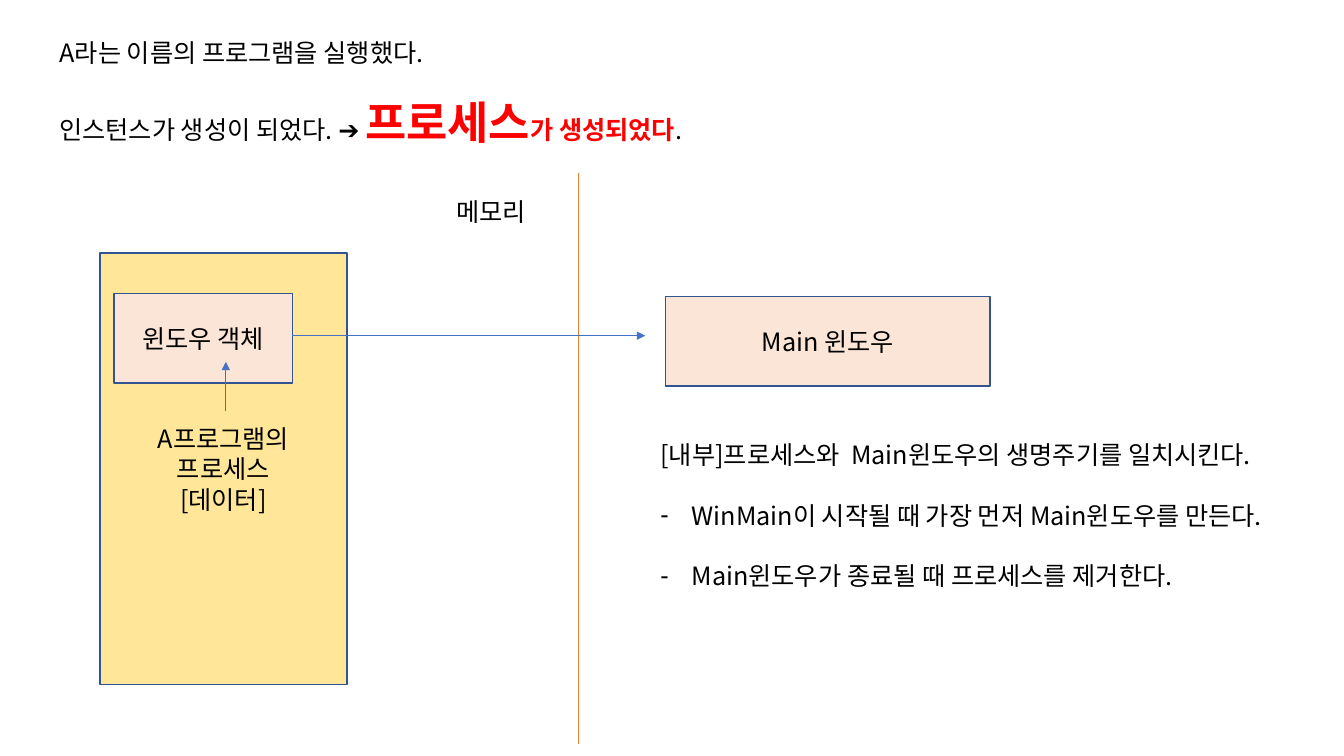
from lxml import etree
from pptx import Presentation
from pptx.dml.color import RGBColor
from pptx.enum import shapes, text
from pptx.oxml import ns
from pptx.util import Inches, Pt

FONT = "Noto Sans CJK KR"
BLACK = RGBColor(0x00, 0x00, 0x00)
RED = RGBColor(0xFF, 0x00, 0x00)
YELLOW = RGBColor(0xFF, 0xE6, 0x99)
PEACH = RGBColor(0xFB, 0xE5, 0xD6)
NAVY = RGBColor(0x32, 0x54, 0x91)
BLUE = RGBColor(0x44, 0x72, 0xC4)
ORANGE = RGBColor(0xED, 0x7D, 0x31)


def add_xml(parent, tag, **attributes):
    return etree.SubElement(parent, ns.qn(tag), attributes)


def style_span(span, size=18, color=BLACK, bold=False):
    span.font.size = Pt(size)
    span.font.bold = bold
    span.font.color.rgb = color
    span.font.name = FONT
    add_xml(span.font._element, "a:ea", typeface=FONT)


def place(shape, box):
    shape.left, shape.top, shape.width, shape.height = map(Inches, box)


def format_frame(frame, align, anchor):
    frame.word_wrap = True
    frame.auto_size = text.MSO_AUTO_SIZE.NONE
    frame.vertical_anchor = anchor
    for para in frame.paragraphs:
        para.alignment = align
        for span in para.runs:
            style_span(span)


def format_left(frame):
    format_frame(frame, text.PP_ALIGN.LEFT, text.MSO_ANCHOR.TOP)


def add_label(page, box, wording):
    label = page.shapes.add_textbox(*map(Inches, box))
    label.text_frame.text = wording
    format_left(label.text_frame)


def add_block(page, box, wording, fill):
    block = page.shapes.add_shape(shapes.MSO_SHAPE.RECTANGLE, *map(Inches, box))
    block.shadow.inherit = False
    block.fill.solid()
    block.fill.fore_color.rgb = fill
    block.line.color.rgb = NAVY
    block.line.width = Pt(1)
    block.text_frame.text = wording
    format_frame(block.text_frame, text.PP_ALIGN.CENTER, text.MSO_ANCHOR.MIDDLE)


def add_line(page, start, end, color, arrow=False):
    line = page.shapes.add_connector(
        shapes.MSO_CONNECTOR.STRAIGHT, *map(Inches, start + end))
    line.line.color.rgb = color
    line.line.width = Pt(0.5)
    if arrow:
        add_xml(line.line._get_or_add_ln(), "a:tailEnd", type="triangle")
    add_xml(line._element.spPr, "a:effectLst")


def add_heading(page, left, top):
    title = page.shapes.title
    place(title, (left, top, 4.23, 0.4))
    title.text_frame.text = "A라는 이름의 프로그램을 실행했다."
    format_left(title.text_frame)

    # Result line with the emphasised term
    result = page.shapes.add_textbox(*map(Inches, (left, top + 0.57, 7.21, 0.64)))
    result.text_frame.word_wrap = True
    para = result.text_frame.paragraphs[0]
    for wording, size, color, bold in (
            ("인스턴스가 생성이 되었다. ➔ ", 18, BLACK, False),
            ("프로세스", 32, RED, True),
            ("가 생성되었다", 18, RED, True),
            (".", 18, BLACK, False)):
        span = para.add_run()
        span.text = wording
        style_span(span, size, color, bold)


def add_process(page, left, top):
    add_block(page, (left, top, 2.45, 4.28),
              "A프로그램의\n프로세스\n[데이터]", YELLOW)
    add_block(page, (left + 0.14, top + 0.4, 1.77, 0.89), "윈도우 객체", PEACH)
    add_line(page, (left + 1.25, top + 1.57), (left + 1.25, top + 1.08), BLUE, True)


def add_notes_list(page, box):
    body = page.placeholders[1]
    place(body, box)
    body.text_frame.text = (
        "[내부]프로세스와  Main윈도우의 생명주기를 일치시킨다.\n"
        "WinMain이 시작될 때 가장 먼저 Main윈도우를 만든다.\n"
        "Main윈도우가 종료될 때 프로세스를 제거한다.")
    format_left(body.text_frame)
    for index, para in enumerate(body.text_frame.paragraphs):
        indent = Inches(0.31) if index else 0
        para.space_before = Pt(21.7) if index else Pt(0)
        properties = para._p.get_or_add_pPr()
        properties.set("marL", str(indent))
        properties.set("indent", str(-indent))
        if index:
            add_xml(properties, "a:buChar", char="-")
        else:
            add_xml(properties, "a:buNone")


def build_page(deck):
    page = deck.slides.add_slide(deck.slide_layouts[1])
    add_heading(page, 0.49, 0.32)

    # Memory side
    add_line(page, (5.74, 7.38), (5.74, 1.72), ORANGE)
    add_label(page, (4.43, 1.9, 0.96, 0.4), "메모리")
    add_process(page, 0.99, 2.51)

    # Window side
    add_line(page, (2.9, 3.33), (6.4, 3.33), BLUE, True)
    add_block(page, (6.6, 2.94, 3.22, 0.89), "Main 윈도우", PEACH)
    add_notes_list(page, (6.45, 4.31, 6.74, 1.62))


deck = Presentation()
deck.slide_width, deck.slide_height = Inches(13.33), Inches(7.5)
build_page(deck)
deck.save("out.pptx")
